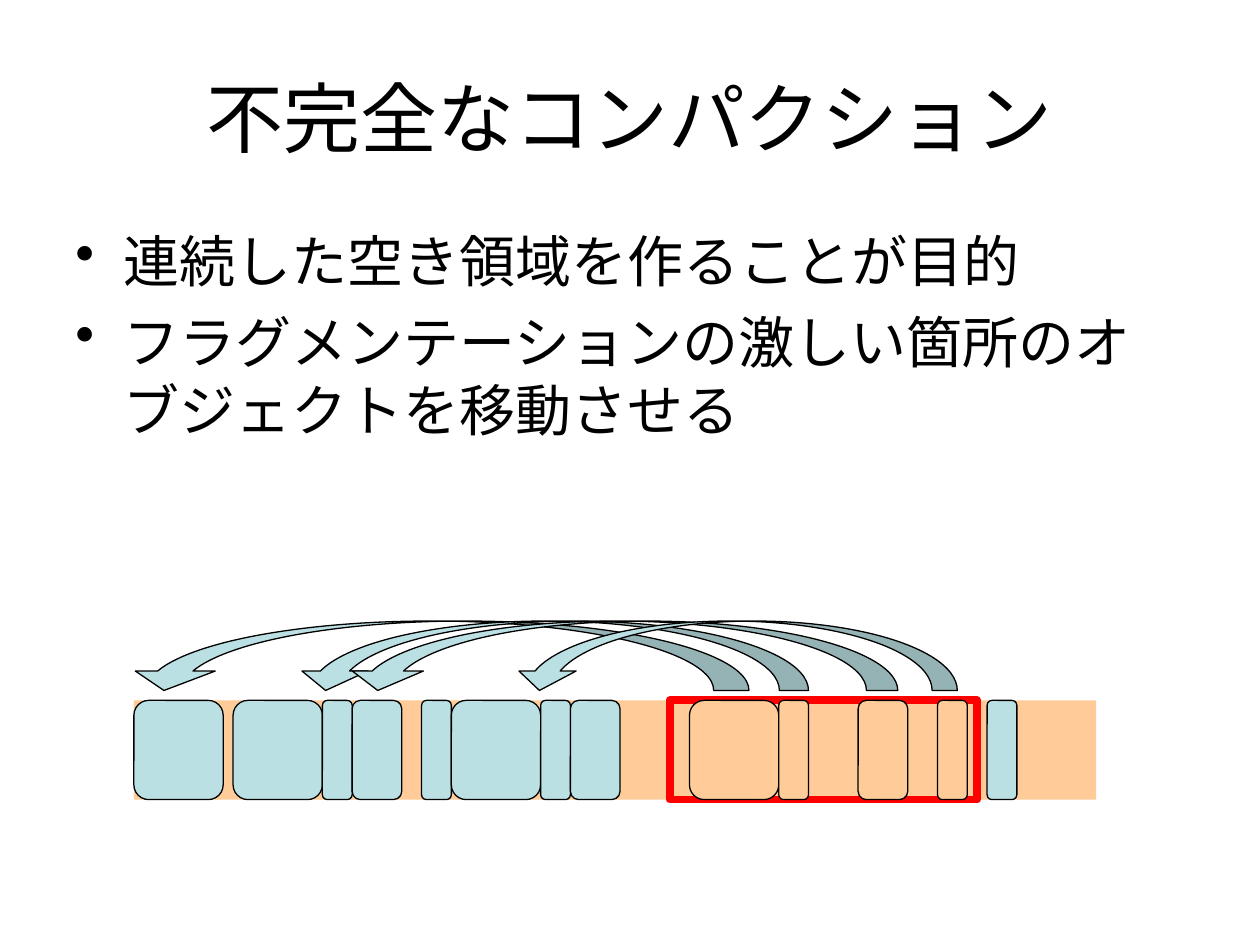
"""Build the slide on incomplete compaction."""
from dataclasses import dataclass

from lxml.etree import SubElement
from pptx import Presentation
from pptx.dml.color import RGBColor as Rgb
from pptx.enum.lang import MSO_LANGUAGE_ID as Language
from pptx.enum.shapes import MSO_SHAPE as Preset
from pptx.enum.text import MSO_ANCHOR as Anchor, PP_ALIGN as Align
from pptx.oxml.ns import qn
from pptx.util import Inches, Mm, Pt


@dataclass(frozen=True)
class Theme:
    """Colours, type sizes and line widths."""
    font: str = "Arial"
    ink: Rgb = Rgb(0, 0, 0)
    live: Rgb = Rgb(0xBB, 0xE0, 0xE3)
    free: Rgb = Rgb(0xFF, 0xCC, 0x99)
    marker: Rgb = Rgb(0xFF, 0, 0)
    title: Pt = Pt(44)
    body: Pt = Pt(32)
    thin: Pt = Pt(0.75)
    thick: Pt = Pt(4.5)


THEME = Theme()
WIDTH, HEIGHT = Inches(10), Inches(7.5)
UNIT = Mm(2)
HEAP_LEFT, HEAP_TOP = 13.5, 70.6
HEAP_COLUMNS, HEAP_ROWS = 97, 10
REGION = (54, 31)
LIVE_BLOCKS = [(0, 9), (10, 9), (19, 3), (22, 5), (29, 3), (32, 9),
               (41, 3), (44, 5), (86, 3)]
MOVED_BLOCKS = [(56, 9), (65, 3), (73, 5), (81, 3)]
MOVES = [(-1, 63), (16, 52), (21, 56), (38, 45)]
ARROW_ROWS = 7
SHAFT_SHARE, HEAD_SHARE, HEAD_LENGTH = 0.0565, 0.128, 0.28
TITLE = "不完全なコンパクション"
POINTS = ["連続した空き領域を作ることが目的",
          "フラグメンテーションの激しい箇所のオブジェクトを移動させる"]


def apply_format(target, values):
    """Set each named attribute of an object."""
    for name, value in values.items():
        setattr(target, name, value)


def add_bullet(para):
    """Give a paragraph a hanging round bullet."""
    properties = para._p.get_or_add_pPr()
    properties.set("marL", str(Inches(0.38)))
    properties.set("indent", str(-Inches(0.38)))
    SubElement(properties, qn("a:buChar"), char="•")


def add_text(slide, top, height, lines, size, anchor, align, bullets=False):
    """Add a text box that spans the slide, placed by shares of its height."""
    box = slide.shapes.add_textbox(
        int(WIDTH * 0.05), int(HEIGHT * top), int(WIDTH * 0.9), int(HEIGHT * height))
    frame = box.text_frame
    apply_format(frame, {"word_wrap": True, "vertical_anchor": anchor})
    for index, line in enumerate(lines):
        para = frame.paragraphs[0] if index == 0 else frame.add_paragraph()
        apply_format(para, {"alignment": align, "space_before": Pt(8 if index else 0)})
        if bullets:
            add_bullet(para)
        span = para.add_run()
        span.text = line
        apply_format(span.font, {"name": THEME.font, "size": size,
                                 "language_id": Language.JAPANESE})
        span.font.color.rgb = THEME.ink


def add_cell(slide, preset, column, columns, fill=None, line=None,
             weight=THEME.thin, row=0, rows=HEAP_ROWS):
    """Add a preset shape placed on the grid of the heap."""
    shape = slide.shapes.add_shape(
        preset, int((HEAP_LEFT + column) * UNIT), int((HEAP_TOP + row) * UNIT),
        columns * UNIT, rows * UNIT)
    shape.shadow.inherit = False
    if fill is None:
        shape.fill.background()
    else:
        shape.fill.solid()
        shape.fill.fore_color.rgb = fill
    if line is None:
        shape.line.fill.background()
    else:
        shape.line.color.rgb = line
        shape.line.width = weight
    return shape


def add_blocks(slide, blocks, fill):
    """Add the objects that lie in the heap."""
    for column, columns in blocks:
        block = add_cell(slide, Preset.ROUNDED_RECTANGLE, column, columns, fill, THEME.ink)
        block.adjustments[0] = 1 / 6


def add_move(slide, column, columns):
    """Add a curved arrow from right to left above the heap."""
    arrow = add_cell(slide, Preset.CURVED_DOWN_ARROW, column, columns, THEME.live,
                     THEME.ink, row=-ARROW_ROWS - 1, rows=ARROW_ROWS)
    ratio = columns / ARROW_ROWS
    for index, value in enumerate((SHAFT_SHARE * ratio, HEAD_SHARE * ratio, HEAD_LENGTH)):
        arrow.adjustments[index] = value
    arrow._element.spPr.find(qn("a:xfrm")).set("flipH", "1")


def main():
    """Build and save the deck."""
    deck = Presentation()
    apply_format(deck, {"slide_width": WIDTH, "slide_height": HEIGHT})
    slide = deck.slides.add_slide(deck.slide_layouts[6])
    add_text(slide, 0.04, 1 / 6, [TITLE], THEME.title, Anchor.MIDDLE, Align.CENTER)
    add_text(slide, 0.2333, 0.66, POINTS, THEME.body, Anchor.TOP, Align.LEFT, bullets=True)
    add_cell(slide, Preset.RECTANGLE, 0, HEAP_COLUMNS, THEME.free)
    add_cell(slide, Preset.RECTANGLE, *REGION, line=THEME.marker, weight=THEME.thick)
    add_blocks(slide, LIVE_BLOCKS, THEME.live)
    for column, columns in MOVES:
        add_move(slide, column, columns)
    add_blocks(slide, MOVED_BLOCKS, THEME.free)
    deck.save("out.pptx")


if __name__ == "__main__":
    main()
